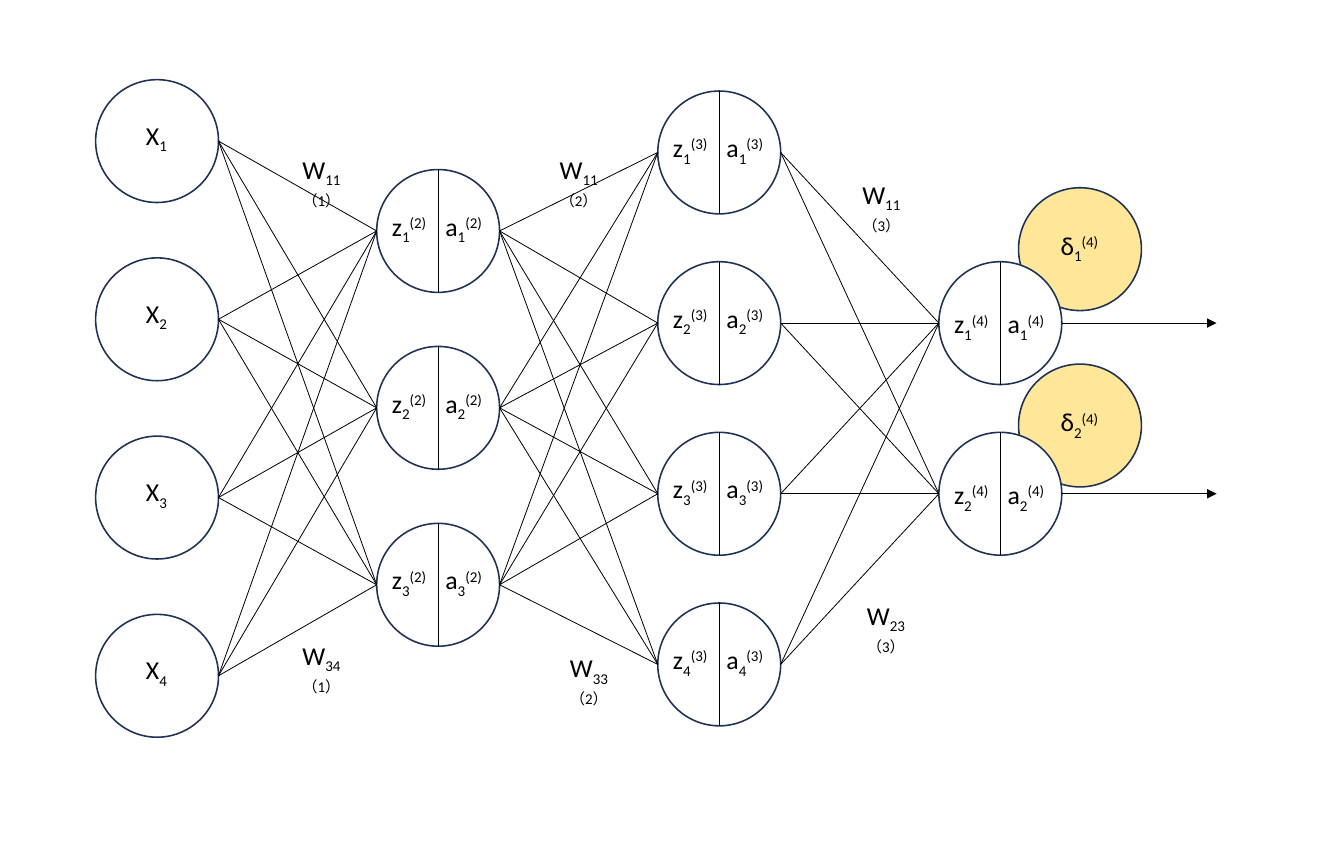
import itertools

import lxml.etree
import pptx
import pptx.dml.color
import pptx.enum.shapes
import pptx.enum.text
import pptx.oxml.ns
import pptx.util

Inches = pptx.util.Inches

INK, OUTLINE, ERROR_FILL, WHITE = "000000", "1E3256", "FFE699", "FFFFFF"
DIAMETER = 1.08
LABEL_WIDTH, LABEL_HEIGHT, WEIGHT_WIDTH = 0.53, 0.35, 0.93
FIRST_LEFT, LAYER_STEP = 0.84, 2.47
ARROW_END = 10.69

# symbols, superscript, node count, top of first node, top of last node, label drop, fill
LAYERS = [
    (["X"], "", 4, 0.7, 5.4, 0.3, None),
    (["z", "a"], "(2)", 3, 1.49, 4.6, 0.31, None),
    (["z", "a"], "(3)", 4, 0.8, 5.3, 0.31, None),
    (["z", "a"], "(4)", 2, 2.3, 3.8, 0.36, WHITE),
]
LABEL_SHIFTS = {1: [0.27], 2: [0.02, 0.5]}

# subscript, left, top
ERRORS = [("2", 8.95, 3.2), ("1", 8.95, 1.65)]

# subscript, superscript, left, top
WEIGHTS = [
    ("11", "（1）", 2.36, 1.3),
    ("34", "（1）", 2.36, 5.57),
    ("11", "（2）", 4.62, 1.3),
    ("33", "（2）", 4.71, 5.68),
    ("11", "（3）", 7.28, 1.52),
    ("23", "（3）", 7.32, 5.22),
]


def color(hex_code):
    return pptx.dml.color.RGBColor.from_string(hex_code)


def add_node(slide, left, top, fill):
    node = slide.shapes.add_shape(
        pptx.enum.shapes.MSO_SHAPE.OVAL,
        Inches(left), Inches(top), Inches(DIAMETER), Inches(DIAMETER))
    node.shadow.inherit = False
    node.line.color.rgb = color(OUTLINE)
    node.line.width = pptx.util.Pt(1)
    if fill:
        node.fill.solid()
        node.fill.fore_color.rgb = color(fill)
    else:
        node.fill.background()


def add_label(slide, left, top, width, symbol, subscript, superscript, side_inset=0.1):
    label = slide.shapes.add_textbox(
        Inches(left), Inches(top), Inches(width), Inches(LABEL_HEIGHT))
    frame = label.text_frame
    frame.word_wrap = True
    frame.auto_size = pptx.enum.text.MSO_AUTO_SIZE.SHAPE_TO_FIT_TEXT
    frame.margin_left = frame.margin_right = Inches(side_inset)
    paragraph = frame.paragraphs[0]
    paragraph.alignment = pptx.enum.text.PP_ALIGN.CENTER
    for text, baseline in ((symbol, 0), (subscript, -25000), (superscript, 30000)):
        if not text:
            continue
        run = paragraph.add_run()
        run.text = text
        run.font.size = pptx.util.Pt(16.3)
        run.font.name = "Calibri"
        run.font.color.rgb = color(INK)
        if baseline:
            run.font._element.set("baseline", str(baseline))


def add_line(slide, start, end, arrow=False):
    line = slide.shapes.add_connector(
        pptx.enum.shapes.MSO_CONNECTOR.STRAIGHT, *map(Inches, start + end))
    line.line.color.rgb = color(INK)
    line.line.width = pptx.util.Pt(0.5)
    if arrow:
        lxml.etree.SubElement(
            line.line._get_or_add_ln(), pptx.oxml.ns.qn("a:tailEnd"), type="triangle")
    lxml.etree.SubElement(line._element.spPr, pptx.oxml.ns.qn("a:effectLst"))


def add_layer(slide, left, layer):
    """Draw one column of neurons and return the heights of their centres."""
    symbols, superscript, count, first, last, drop, fill = layer
    tops = [first + i * (last - first) / (count - 1) for i in range(count)]
    for number, top in enumerate(tops, 1):
        add_node(slide, left, top, fill)
        if len(symbols) == 2:
            middle = left + DIAMETER / 2
            add_line(slide, (middle, top), (middle, top + DIAMETER))
        for symbol, shift in zip(symbols, LABEL_SHIFTS[len(symbols)]):
            add_label(slide, left + shift, top + drop, LABEL_WIDTH,
                      symbol, str(number), superscript)
    return [top + DIAMETER / 2 for top in tops]


def main():
    deck = pptx.Presentation()
    deck.slide_width, deck.slide_height = Inches(11.81), Inches(7.48)
    slide = deck.slides.add_slide(deck.slide_layouts[6])

    for subscript, left, top in ERRORS:
        add_node(slide, left, top, ERROR_FILL)
        add_label(slide, left + 0.27, top + 0.32, LABEL_WIDTH, "δ", subscript, "(4)")

    lefts = [FIRST_LEFT + i * LAYER_STEP for i in range(len(LAYERS))]
    centres = [add_layer(slide, left, layer) for left, layer in zip(lefts, LAYERS)]

    for i in range(len(LAYERS) - 1):
        for start, end in itertools.product(centres[i], centres[i + 1]):
            add_line(slide, (lefts[i] + DIAMETER, start), (lefts[i + 1], end))

    for subscript, superscript, left, top in WEIGHTS:
        # The wider inset drops the superscript to a second line.
        add_label(slide, left, top, WEIGHT_WIDTH, "W", subscript, superscript, 0.16)

    for centre in centres[-1]:
        add_line(slide, (lefts[-1] + DIAMETER, centre), (ARROW_END, centre), arrow=True)

    deck.save("out.pptx")


if __name__ == "__main__":
    main()
